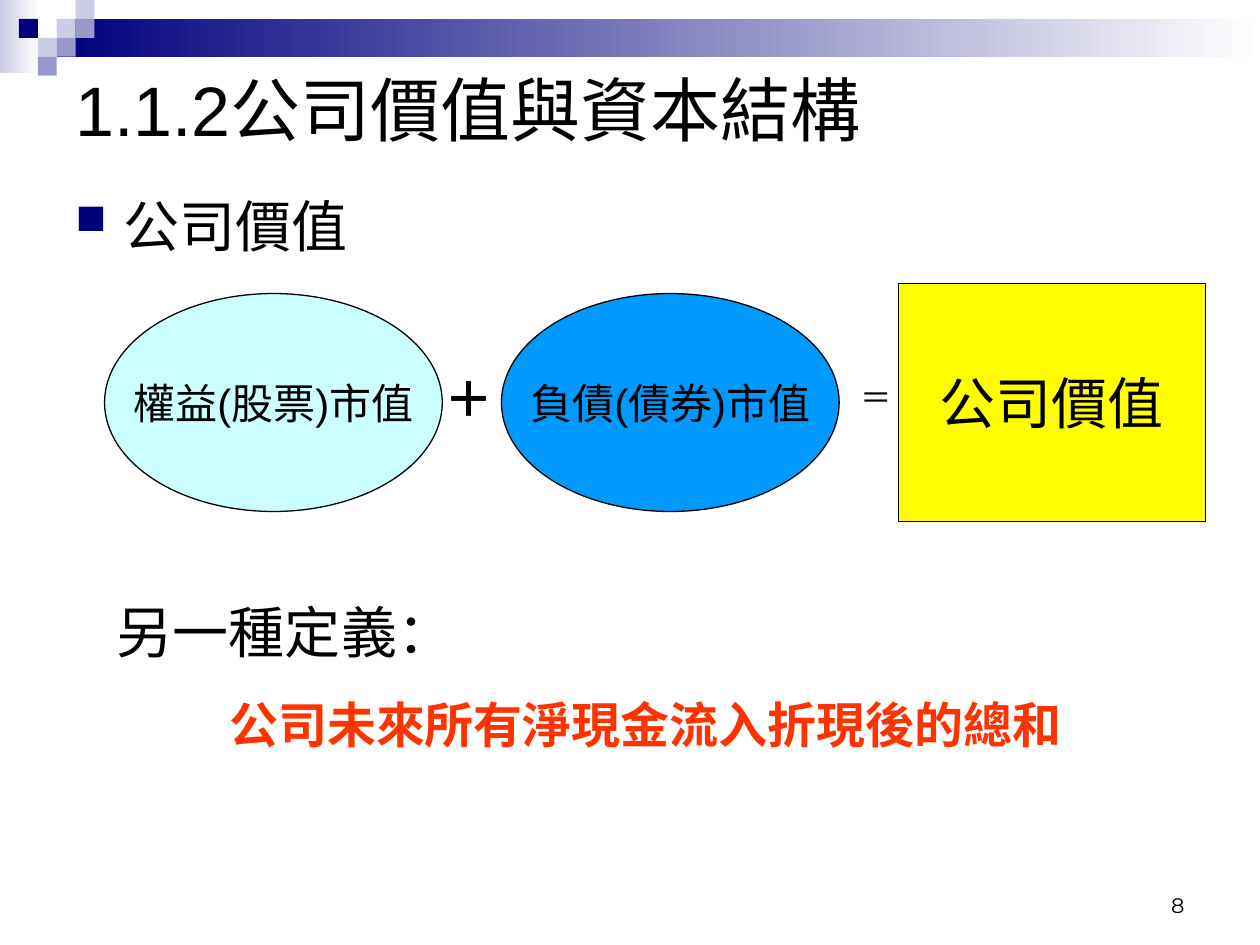
from pptx import Presentation
from pptx.dml.color import RGBColor
from pptx.enum.shapes import MSO_SHAPE as Kind
from pptx.enum.text import MSO_ANCHOR as Anchor, PP_ALIGN as Align
from pptx.oxml import parse_xml
from pptx.oxml.ns import nsdecls
from pptx.util import Inches, Pt

BLACK = RGBColor(0x00, 0x00, 0x00)
WHITE = RGBColor(0xFF, 0xFF, 0xFF)
NAVY = RGBColor(0x00, 0x00, 0x7D)
LILAC = RGBColor(0xCC, 0xCC, 0xE6)
MAUVE = RGBColor(0x99, 0x99, 0xCC)
AQUA = RGBColor(0xCC, 0xFF, 0xFF)
BLUE = RGBColor(0x00, 0x99, 0xFF)
YELLOW = RGBColor(0xFF, 0xFF, 0x00)
RED = RGBColor(0xFF, 0x33, 0x00)

WIDE, HIGH = 10, 7.5
CELL = 0.15


def inch(box):
    return [Inches(n) for n in box]


def style(par, text, size, color=BLACK, bold=False, align=Align.LEFT,
          before=0, name="Arial"):
    par.text, par.alignment, par.space_before = text, align, Pt(before)
    font = par.font
    font.name, font.size, font.bold = name, Pt(size), bold
    font.color.rgb = color


def add_text(slide, box, text, size, anchor=Anchor.TOP, wrap=True, **look):
    frame = slide.shapes.add_textbox(*inch(box)).text_frame
    frame.word_wrap, frame.vertical_anchor = wrap, anchor
    style(frame.paragraphs[0], text, size, **look)
    return frame


def add_block(slide, box, color, kind=Kind.RECTANGLE, fade=False):
    shape = slide.shapes.add_shape(kind, *inch(box))
    shape.shadow.inherit = False
    shape.line.fill.background()
    if fade:
        shape.fill.gradient()
        shape.fill.gradient_angle = 0
        for stop, tone, place in zip(shape.fill.gradient_stops,
                                     (color, WHITE), (0, 1)):
            stop.color.rgb, stop.position = tone, place
    else:
        shape.fill.solid()
        shape.fill.fore_color.rgb = color
    return shape


def add_banner(slide, left, top, width):
    """Fading bars with a mosaic of square cells at the left."""
    add_block(slide, (left, top, 0.31, 0.58), LILAC, fade=True)
    add_block(slide, (left + 3 * CELL, top + CELL, width - 3 * CELL, 2 * CELL),
              NAVY, fade=True)
    mosaic = [(3, 1, LILAC), (4, 0, LILAC), (4, 1, MAUVE), (2, 2, LILAC),
              (1, 1, NAVY), (3, 2, MAUVE), (2, 3, MAUVE)]
    for col, row, color in mosaic:
        add_block(slide, (left + col * CELL, top + row * CELL, CELL, CELL),
                  color)


def add_bullet(slide, box, text):
    par = add_text(slide, box, text, 32, before=8).paragraphs[0]
    props = par._p.get_or_add_pPr()
    props.set("marL", str(Inches(0.38)))
    props.set("indent", str(Inches(-0.38)))
    for mark in (f'<a:buClr {nsdecls("a")}><a:srgbClr val="{NAVY}"/></a:buClr>',
                 f'<a:buSzPct {nsdecls("a")} val="75000"/>',
                 f'<a:buChar {nsdecls("a")} char="■"/>'):
        props.append(parse_xml(mark))


def add_sum(slide, left, top, width, height):
    """Equity plus debt equals company value, centred on one line."""
    mid = top + height / 2
    oval, tall, step, total = 2.68, 1.73, 3.15, 2.44
    terms = [
        (Kind.OVAL, left, oval, tall, AQUA, "權益(股票)市值", 24),
        (Kind.OVAL, left + step, oval, tall, BLUE, "負債(債券)市值", 24),
        (Kind.RECTANGLE, left + width - total, total, height, YELLOW,
         "公司價值", 32),
    ]
    for kind, x, wide, high, color, text, size in terms:
        shape = add_block(slide, (x, mid - high / 2, wide, high), color, kind)
        shape.line.color.rgb, shape.line.width = BLACK, Pt(0.75)
        frame = shape.text_frame
        frame.word_wrap, frame.vertical_anchor = False, Anchor.MIDDLE
        style(frame.paragraphs[0], text, size, align=Align.CENTER)
    # Signs between the terms
    add_text(slide, (left + 2.6, mid - 0.32, 0.79, 0.57), "＋", 28,
             bold=True, before=17.5)
    add_text(slide, (left + 5.9, mid - 0.24, 0.45, 0.4), "＝", 18, wrap=False)


def add_note(slide, box):
    frame = add_text(slide, box, "另一種定義：", 32, before=20)
    style(frame.add_paragraph(), "公司未來所有淨現金流入折現後的總和", 28,
          color=RED, bold=True, align=Align.CENTER, before=17.5)


def main():
    deck = Presentation()
    deck.slide_width, deck.slide_height = Inches(WIDE), Inches(HIGH)
    slide = deck.slides.add_slide(deck.slide_layouts[6])
    edge = WIDE * 0.05
    inner = WIDE - 2 * edge

    add_banner(slide, 0, 0, WIDE)
    add_text(slide, (edge, 0.5, inner, 0.73), "1.1.2公司價值與資本結構", 40,
             anchor=Anchor.MIDDLE)
    add_bullet(slide, (edge, 1.47, inner, 5.59), "公司價值")
    add_sum(slide, 0.83, 2.25, 8.74, 1.89)
    add_note(slide, (0.83, 4.69, 8.58, 2.77))
    # Page number
    add_text(slide, (7.17, 6.83, 2.33, 0.5), "8", 12, anchor=Anchor.BOTTOM,
             align=Align.RIGHT, name="Montserrat")
    deck.save("out.pptx")


if __name__ == "__main__":
    main()
